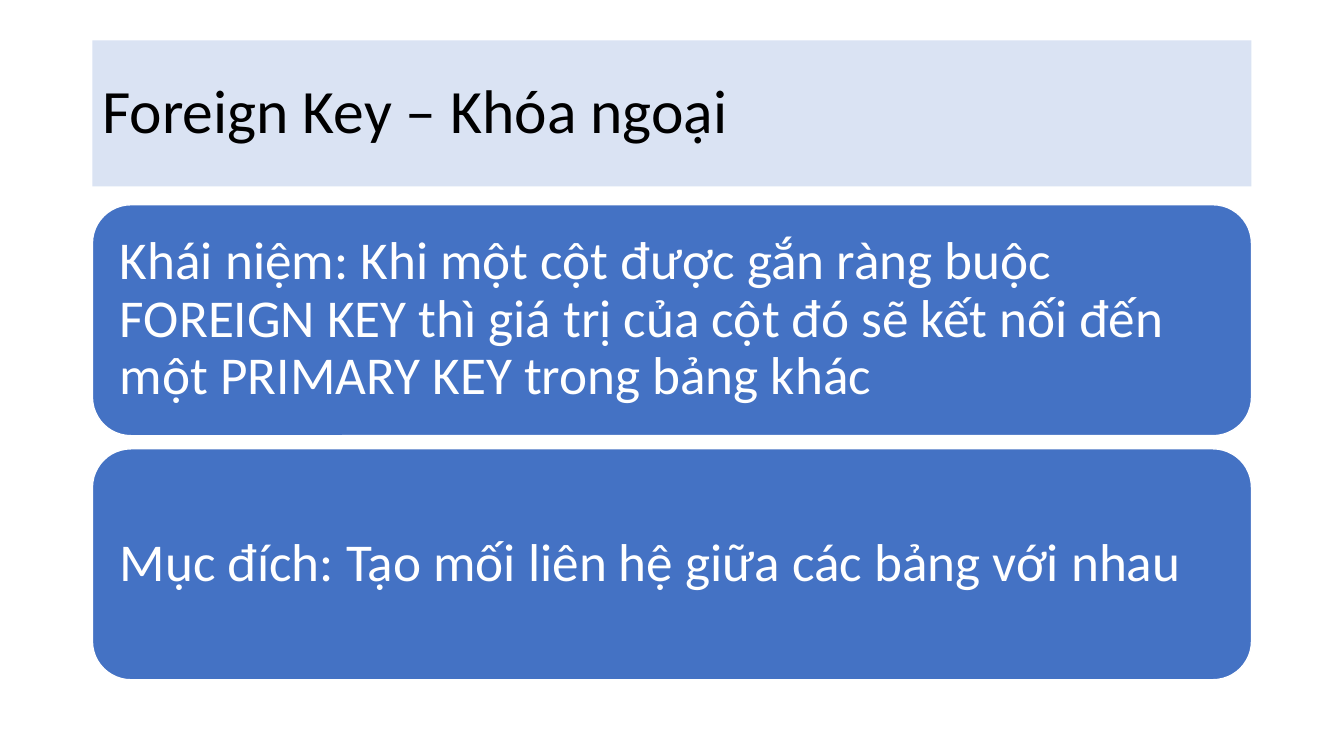
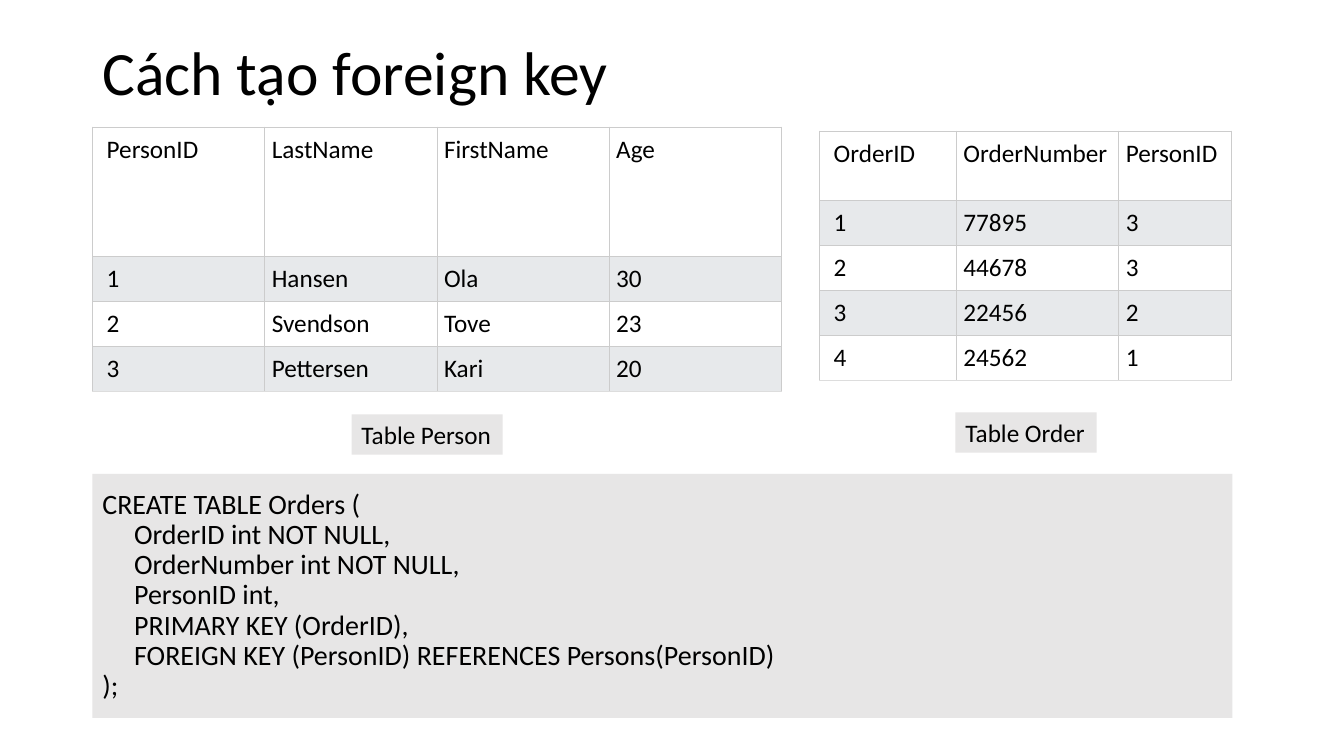
from lxml import etree
from pptx import Presentation
from pptx.dml.color import RGBColor as RGB
from pptx.enum.shapes import MSO_SHAPE as SHAPE
from pptx.enum.text import MSO_ANCHOR as ANCHOR, PP_ALIGN as ALIGN
from pptx.oxml.ns import qn
from pptx.util import Cm, Pt

FONT = "Calibri"
COLORS = {
    "text": "000000",
    "white": "FFFFFF",
    "title_band": "DAE3F3",
    "card": "4472C4",
    "panel": "E7E6E6",
    "stripe": "E7E9EB",
    "border": "CCCCCC",
    "last_border": "DDDDDD",
}
LEFT = 2.33
CELL_PAD = 0.18
ROW_HEIGHT = 1.11

CARDS = [
    "Khái niệm: Khi một cột được gắn ràng buộc FOREIGN KEY thì giá trị của cột đó "
    "sẽ kết nối đến một PRIMARY KEY trong bảng khác",
    "Mục đích: Tạo mối liên hệ giữa các bảng với nhau",
]
PERSONS = [
    ["PersonID", "LastName", "FirstName", "Age"],
    ["1", "Hansen", "Ola", "30"],
    ["2", "Svendson", "Tove", "23"],
    ["3", "Pettersen", "Kari", "20"],
]
ORDERS = [
    ["OrderID", "OrderNumber", "PersonID"],
    ["1", "77895", "3"],
    ["2", "44678", "3"],
    ["3", "22456", "2"],
    ["4", "24562", "1"],
]
SQL_COLUMNS = [
    "OrderID int NOT NULL,",
    "OrderNumber int NOT NULL,",
    "PersonID int,",
    "PRIMARY KEY (OrderID),",
    "FOREIGN KEY (PersonID) REFERENCES Persons(PersonID)",
]
SQL = ["CREATE TABLE Orders (", *SQL_COLUMNS, ");"]


def rgb(name):
    return RGB.from_string(COLORS[name])


def style_paragraph(p, size, color="text", spacing=1.0):
    p.alignment = ALIGN.LEFT
    p.line_spacing = spacing
    for r in p.runs:
        r.font.name = FONT
        r.font.size = Pt(size)
        r.font.color.rgb = rgb(color)


def add_box(s, box, text, size, fill=None, color="text", spacing=1.0,
            shape=SHAPE.RECTANGLE, wrap=True):
    sp = s.shapes.add_shape(shape, *map(Cm, box))
    sp.shadow.inherit = False
    sp.line.fill.background()
    if fill:
        sp.fill.solid()
        sp.fill.fore_color.rgb = rgb(fill)
    else:
        sp.fill.background()
    tf = sp.text_frame
    tf.word_wrap = wrap
    tf.vertical_anchor = ANCHOR.MIDDLE
    tf.text = text
    for p in tf.paragraphs:
        style_paragraph(p, size, color, spacing)
    return sp


def add_title(s, top, width, height, text, fill=None, spacing=1.0):
    add_box(s, (LEFT, top, width, height), text, 44, fill, spacing=spacing)


def add_card(s, top, text):
    sp = add_box(s, (LEFT, top, 29.21, 5.82), text, 38, "card", "white", 0.9,
                 SHAPE.ROUNDED_RECTANGLE)
    sp.line.color.rgb = rgb("white")
    sp.line.width = Pt(1)
    tf = sp.text_frame
    tf.margin_left = tf.margin_right = tf.margin_top = tf.margin_bottom = Cm(0.41)


def add_label(s, left, top, width, text):
    add_box(s, (left, top, width, 1.02), text, 18, "panel", wrap=False)


def add_code(s, box, lines):
    sp = add_box(s, box, "\n".join(lines), 20, "panel", spacing=0.9)
    for p in sp.text_frame.paragraphs[1:-1]:
        p._p.get_or_add_pPr().set("marL", str(Cm(0.8)))


def set_borders(cell, is_last):
    tc_pr = cell._tc.get_or_add_tcPr()
    for side in "LRTB":
        name = "last_border" if is_last and side == "B" else "border"
        ln = etree.SubElement(tc_pr, qn(f"a:ln{side}"), w=str(Pt(0.6)))
        solid = etree.SubElement(ln, qn("a:solidFill"))
        etree.SubElement(solid, qn("a:srgbClr"), val=COLORS[name])


def add_data_table(s, left, top, widths, header_height, rows):
    heights = [header_height] + [ROW_HEIGHT] * (len(rows) - 1)
    table = s.shapes.add_table(len(rows), len(widths), Cm(left), Cm(top),
                               Cm(sum(widths)), Cm(sum(heights))).table
    table.first_row = table.horz_banding = False
    for column, width in zip(table.columns, widths):
        column.width = Cm(width)
    for i, (values, height) in enumerate(zip(rows, heights)):
        table.rows[i].height = Cm(height)
        for j, value in enumerate(values):
            cell = table.cell(i, j)
            set_borders(cell, i == len(rows) - 1)
            cell.fill.solid()
            cell.fill.fore_color.rgb = rgb("stripe" if i % 2 else "white")
            cell.margin_left = Cm(CELL_PAD if j else 2 * CELL_PAD)
            cell.margin_right = cell.margin_top = cell.margin_bottom = Cm(CELL_PAD)
            cell.text = value
            style_paragraph(cell.text_frame.paragraphs[0], 18)


def build_concept(s):
    add_title(s, 1.02, 29.21, 3.68, "Foreign Key – Khóa ngoại", "title_band", 0.9)
    for i, text in enumerate(CARDS):
        add_card(s, 5.16 + 6.15 * i, text)


def build_example(s):
    add_code(s, (LEFT, 11.94, 28.73, 6.15), SQL)
    add_data_table(s, LEFT, 3.2, [4.34] * 4, 3.25, PERSONS)
    add_data_table(s, 20.65, 3.3, [3.45, 4.09, 2.84], 1.75, ORDERS)
    add_label(s, 8.86, 10.44, 3.81, "Table Person")
    add_label(s, 24.08, 10.39, 3.56, "Table Order")
    add_title(s, 0.71, 16.94, 2.13, "Cách tạo foreign key")


def main():
    prs = Presentation()
    prs.slide_width, prs.slide_height = Cm(33.87), Cm(19.05)
    for build in (build_concept, build_example):
        build(prs.slides.add_slide(prs.slide_layouts[6]))
    prs.save("out.pptx")


if __name__ == "__main__":
    main()
